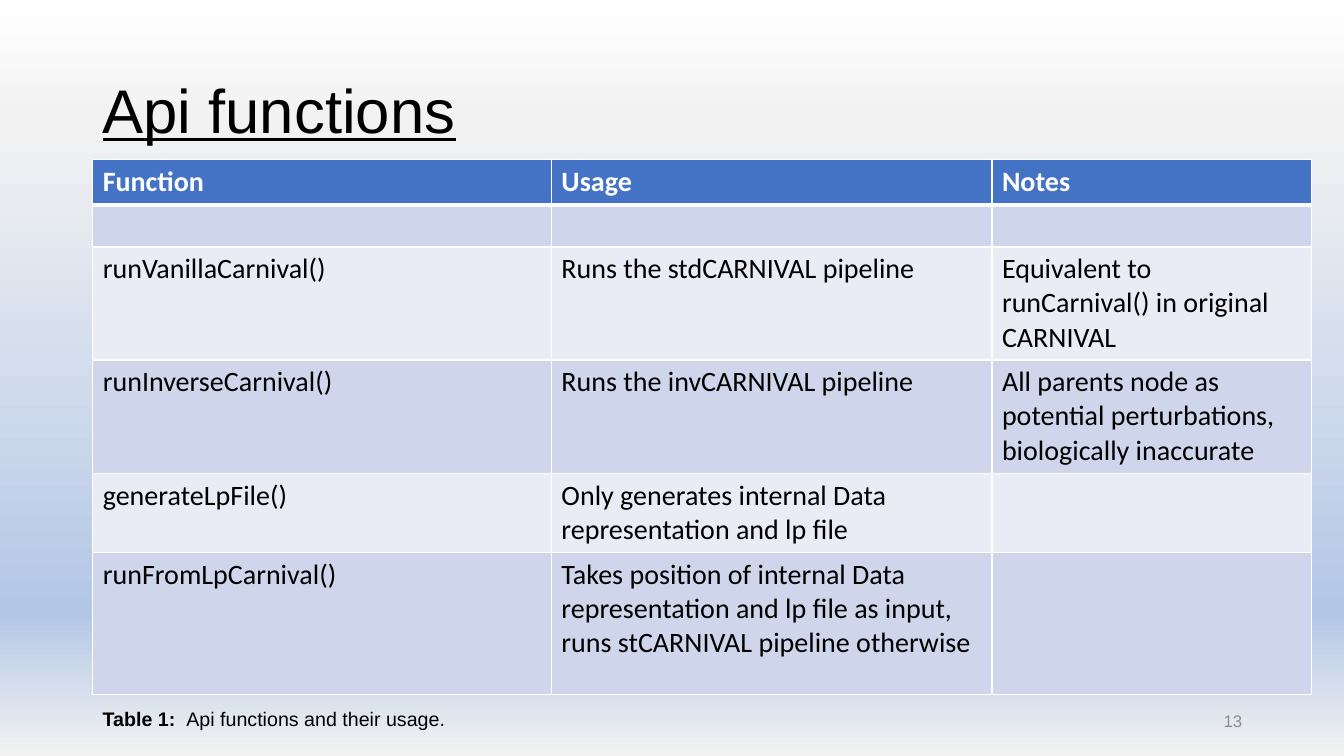
from pptx import Presentation
from pptx.dml.color import RGBColor
from pptx.enum.text import MSO_ANCHOR, PP_ALIGN
from pptx.oxml import parse_xml
from pptx.oxml.ns import nsdecls, qn
from pptx.util import Inches, Pt

TOP, MIDDLE = MSO_ANCHOR.TOP, MSO_ANCHOR.MIDDLE
LEFT, RIGHT = PP_ALIGN.LEFT, PP_ALIGN.RIGHT

BLACK = RGBColor(0x00, 0x00, 0x00)
WHITE = RGBColor(0xFF, 0xFF, 0xFF)
MIST = RGBColor(0xF2, 0xF2, 0xF2)
SKY = RGBColor(0xB4, 0xC7, 0xE7)
HEADER_BLUE = RGBColor(0x44, 0x72, 0xC4)
BAND_DARK = RGBColor(0xCF, 0xD5, 0xEA)
BAND_LIGHT = RGBColor(0xE9, 0xEB, 0xF5)
GREY = RGBColor(0x8C, 0x8C, 0x8C)

BACKDROP = [(0, WHITE), (16, MIST), (81, SKY), (100, MIST)]
MARGIN = 6.9  # left edge shared by title, table and caption

# Percent of slide width and height
COLUMN_WIDTHS = [34.13, 32.78, 23.78]
ROW_HEIGHTS = [4.4 + 1.6, 5.6, 14.95, 15, 10.45, 18.8]
API_FUNCTIONS = [
    ("Function", "Usage", "Notes"),
    ("", "", ""),
    ("runVanillaCarnival()", "Runs the stdCARNIVAL pipeline",
     "Equivalent to runCarnival() in original CARNIVAL"),
    ("runInverseCarnival()", "Runs the invCARNIVAL pipeline",
     "All parents node as potential perturbations, biologically inaccurate"),
    ("generateLpFile()",
     "Only generates internal Data representation and lp file", ""),
    ("runFromLpCarnival()",
     "Takes position of internal Data representation and lp file as input, "
     "runs stCARNIVAL pipeline otherwise", ""),
]


class SlideBuilder:
    """Places elements by percent of the slide's width and height."""

    heading_font = "Arial"
    table_font = "Calibri"

    def __init__(self, deck):
        self.width, self.height = deck.slide_width, deck.slide_height
        self.slide = deck.slides.add_slide(deck.slide_layouts[6])

    def across(self, percent):
        return round(self.width * percent / 100)

    def down(self, percent):
        return round(self.height * percent / 100)

    def box(self, left, top, width, height):
        return (self.across(left), self.down(top),
                self.across(width), self.down(height))

    def style(self, run, font, size, color, bold=False, underline=False):
        run.font.name, run.font.size = font, Pt(size)
        run.font.color.rgb = color
        run.font.bold, run.font.underline = bold, underline

    def gradient(self, stops):
        self.slide.background.fill.solid()
        solid = next(self.slide.element.iter(qn("a:solidFill")))
        marks = "".join(
            f'<a:gs pos="{percent * 1000}"><a:srgbClr val="{color}"/></a:gs>'
            for percent, color in stops)
        solid.getparent().replace(solid, parse_xml(
            f'<a:gradFill {nsdecls("a")} rotWithShape="1">'
            f'<a:gsLst>{marks}</a:gsLst>'
            '<a:lin ang="5400000" scaled="0"/></a:gradFill>'))

    def text(self, place, parts, size, color=BLACK, anchor=MIDDLE,
             align=LEFT, spacing=1.0, underline=False):
        """Each part is a pair of wording and boldness."""
        frame = self.slide.shapes.add_textbox(*self.box(*place)).text_frame
        frame.word_wrap = True
        frame.vertical_anchor = anchor
        paragraph = frame.paragraphs[0]
        paragraph.alignment, paragraph.line_spacing = align, spacing
        for wording, bold in parts:
            run = paragraph.add_run()
            run.text = wording
            self.style(run, self.heading_font, size, color, bold, underline)

    def borders(self, cell, bottom, top):
        properties = cell._tc.get_or_add_tcPr()
        sides = [("lnL", 1), ("lnR", 1), ("lnT", top), ("lnB", bottom)]
        for position, (side, points) in enumerate(sides):
            properties.insert(position, parse_xml(
                f'<a:{side} {nsdecls("a")} w="{Pt(points)}"><a:solidFill>'
                f'<a:srgbClr val="{WHITE}"/></a:solidFill></a:{side}>'))

    def table(self, left, top, widths, heights, rows):
        place = self.box(left, top, sum(widths), sum(heights))
        table = self.slide.shapes.add_table(
            len(rows), len(widths), *place).table
        for column, width in zip(table.columns, widths):
            column.width = self.across(width)
        for row, height in zip(table.rows, heights):
            row.height = self.down(height)
        for r, wordings in enumerate(rows):
            header = r == 0
            band = BAND_DARK if r % 2 else BAND_LIGHT
            for c, wording in enumerate(wordings):
                cell = table.cell(r, c)
                cell.fill.solid()
                cell.fill.fore_color.rgb = HEADER_BLUE if header else band
                self.borders(cell, bottom=3 if header else 1,
                             top=3 if r == 1 else 1)
                cell.text_frame.text = wording
                for run in cell.text_frame.paragraphs[0].runs:
                    self.style(run, self.table_font, 20,
                               WHITE if header else BLACK, bold=header)


def main():
    deck = Presentation()
    deck.slide_width, deck.slide_height = Inches(13.33), Inches(7.5)
    builder = SlideBuilder(deck)

    # Background and title
    builder.gradient(BACKDROP)
    builder.text((MARGIN, 5.33, 86.25, 19.33), [("Api functions", False)],
                 44, spacing=0.9, underline=True)

    # Function table
    builder.table(MARGIN, 21.07, COLUMN_WIDTHS, ROW_HEIGHTS, API_FUNCTIONS)

    # Slide number and caption
    builder.text((70.67, 92.67, 22.5, 5.33), [("13", False)], 12,
                 color=GREY, align=RIGHT)
    builder.text((MARGIN, 92.8, 47, 4.53),
                 [("Table 1:  ", True),
                  ("Api functions and their usage.", False)],
                 14, anchor=TOP)

    deck.save("out.pptx")


if __name__ == "__main__":
    main()
